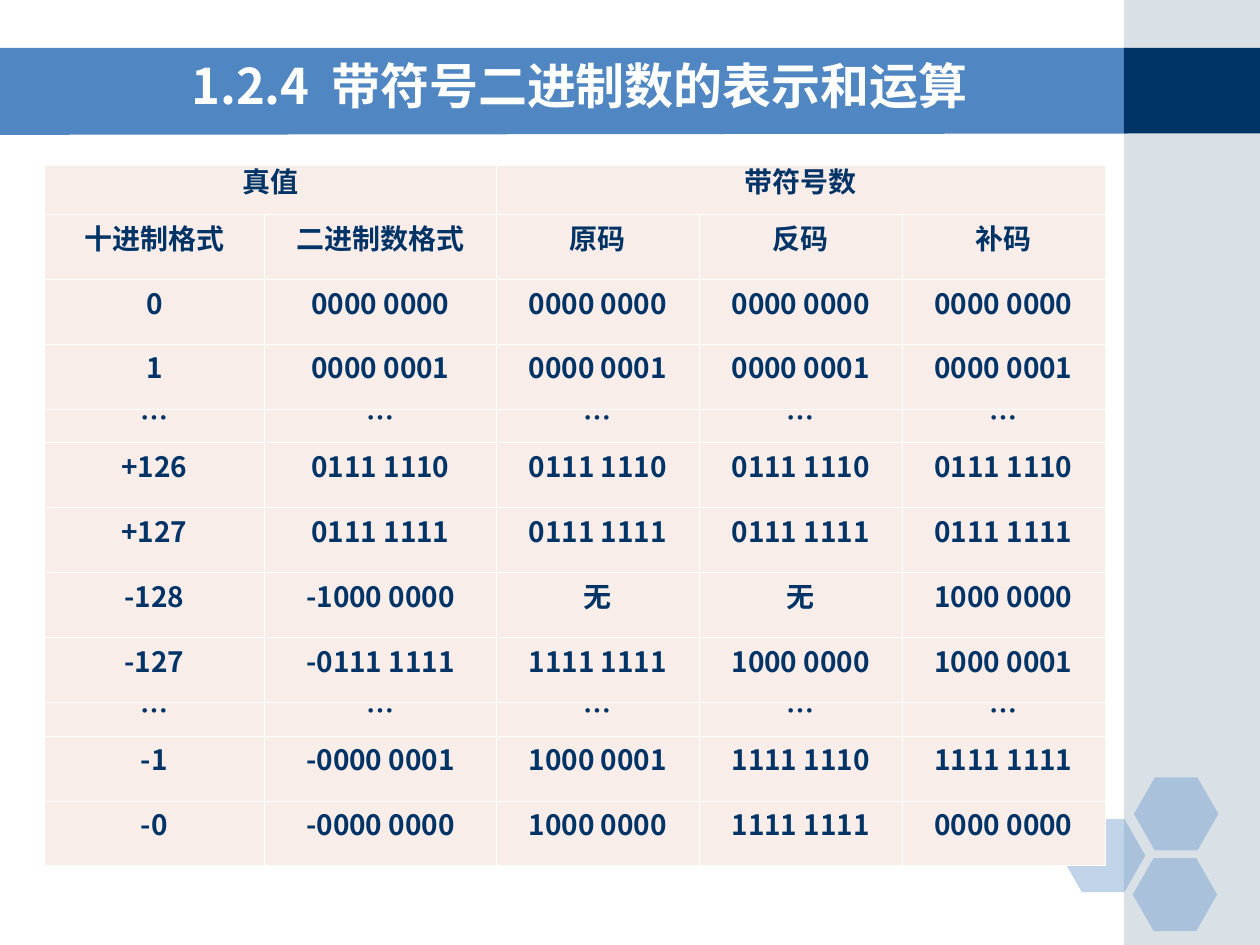
import pptx
import pptx.util
import pptx.dml.color
import pptx.enum.shapes
import pptx.enum.text
import pptx.oxml.ns
import lxml.etree
from dataclasses import dataclass

Inches = pptx.util.Inches
Pt = pptx.util.Pt
Kind = pptx.enum.shapes.MSO_SHAPE
Align = pptx.enum.text.PP_ALIGN
Anchor = pptx.enum.text.MSO_ANCHOR
qn = pptx.oxml.ns.qn

FONT = "Noto Sans CJK SC"
BLUE, NAVY, GREY = "5086C2", "003366", "A0B5C4"
WHITE, CREAM = "FFFFFF", "F9EDE9"

DOTS = ("…",) * 5
CODES = [
    ("真值", "", "带符号数", "", ""),
    ("十进制格式", "二进制数格式", "原码", "反码", "补码"),
    ("0",) + ("0000 0000",) * 4,
    ("1",) + ("0000 0001",) * 4,
    DOTS,
    ("+126",) + ("0111 1110",) * 4,
    ("+127",) + ("0111 1111",) * 4,
    ("-128", "-1000 0000", "无", "无", "1000 0000"),
    ("-127", "-0111 1111", "1111 1111", "1000 0000", "1000 0001"),
    DOTS,
    ("-1", "-0000 0001", "1000 0001", "1111 1110", "1111 1111"),
    ("-0", "-0000 0000", "1000 0000", "1111 1111", "0000 0000"),
]
WIDTHS = (1.75, 1.84, 1.61, 1.61, 1.61)
HEAD, LOW, TALL = 0.39, 0.26, 4.64 / 9


@dataclass
class Block:
    kind: int
    left: float
    top: float
    width: float
    height: float
    color: str
    alpha: int = 100


BLOCKS = [
    Block(Kind.RECTANGLE, 8.92, 0, 1.08, 7.5, GREY, 40),
    Block(Kind.RECTANGLE, 8.92, 0.38, 1.08, 0.68, NAVY),
] + [
    Block(Kind.HEXAGON, left, top, 0.67, 0.58, BLUE, 35)
    for left, top in ((8.42, 6.5), (9, 6.17), (8.99, 6.81))
]


def paint(fill, color: str, alpha: int = 100) -> None:
    fill.solid()
    fill.fore_color.rgb = pptx.dml.color.RGBColor.from_string(color)
    if alpha < 100:
        node = fill._xPr.find(qn("a:solidFill"))[0]
        lxml.etree.SubElement(node, qn("a:alpha"), val=str(alpha * 1000))


def style(para, size: float, color: str) -> None:
    font = para.font
    font.size, font.bold, font.name = Pt(size), True, FONT
    paint(font.fill, color)
    props = para._p.get_or_add_pPr().find(qn("a:defRPr"))
    lxml.etree.SubElement(props, qn("a:ea"), typeface=FONT)


def draw_band(slide) -> None:
    form = slide.shapes.build_freeform(Inches(-0.01), Inches(0.38))
    ends = ((8.95, 0.38), (8.95, 1.06), (-0.01, 1.07))
    form.add_line_segments([(Inches(x), Inches(y)) for x, y in ends])
    band = form.convert_to_shape()
    band.shadow.inherit = False
    paint(band.fill, BLUE)
    band.line.fill.background()


def draw_block(slide, block: Block) -> None:
    shape = slide.shapes.add_shape(
        block.kind, Inches(block.left), Inches(block.top),
        Inches(block.width), Inches(block.height))
    shape.shadow.inherit = False
    paint(shape.fill, block.color, block.alpha)
    shape.line.fill.background()
    if block.kind == Kind.HEXAGON:
        shape.adjustments[0] = 0.286


def edge(cell) -> None:
    """Give all four sides of a cell a thin white line."""
    props = cell._tc.get_or_add_tcPr()
    for side in ("a:lnL", "a:lnR", "a:lnT", "a:lnB"):
        line = lxml.etree.SubElement(props, qn(side), w=str(Pt(0.45)))
        fill = lxml.etree.SubElement(line, qn("a:solidFill"))
        lxml.etree.SubElement(fill, qn("a:srgbClr"), val=WHITE)


def fill_cell(cell, text: str) -> None:
    edge(cell)
    paint(cell.fill, CREAM)
    cell.vertical_anchor = Anchor.MIDDLE
    cell.margin_left = cell.margin_right = Inches(0.07)
    cell.margin_top = cell.margin_bottom = Inches(0.05)
    para = cell.text_frame.paragraphs[0]
    if text:
        para.text = text
    para.alignment = Align.CENTER
    para.line_spacing = Pt(12)
    style(para, 16, NAVY)


def draw_table(slide) -> None:
    heights = [HEAD] + [LOW if row is DOTS else TALL for row in CODES[1:]]
    table = slide.shapes.add_table(
        len(CODES), len(WIDTHS), Inches(0.35), Inches(1.31),
        Inches(sum(WIDTHS)), Inches(sum(heights))).table
    table.first_row = table.horz_banding = False
    for col, width in zip(table.columns, WIDTHS):
        col.width = Inches(width)
    for row, height, texts in zip(table.rows, heights, CODES):
        row.height = Inches(height)
        for cell, text in zip(row.cells, texts):
            fill_cell(cell, text)
    for first, last in ((0, 1), (2, 4)):
        table.cell(0, first).merge(table.cell(0, last))


def draw_title(slide) -> None:
    box = slide.shapes.add_textbox(
        Inches(1.42), Inches(0.36), Inches(7.33), Inches(0.62))
    frame = box.text_frame
    frame.word_wrap = True
    frame.vertical_anchor = Anchor.MIDDLE
    para = frame.paragraphs[0]
    for text in ("1.2.4", " ", "带符号二进制数的表示和运算"):
        para.add_run().text = text
    # Widen the gap after the section number.
    para.runs[1]._r.get_or_add_rPr().set("spc", "600")
    style(para, 28, WHITE)


def main() -> None:
    deck = pptx.Presentation()
    deck.slide_width, deck.slide_height = Inches(10), Inches(7.5)
    slide = deck.slides.add_slide(deck.slide_layouts[6])
    paint(slide.background.fill, WHITE)
    draw_band(slide)
    for block in BLOCKS:
        draw_block(slide, block)
    draw_table(slide)
    draw_title(slide)
    deck.save("out.pptx")


if __name__ == "__main__":
    main()
